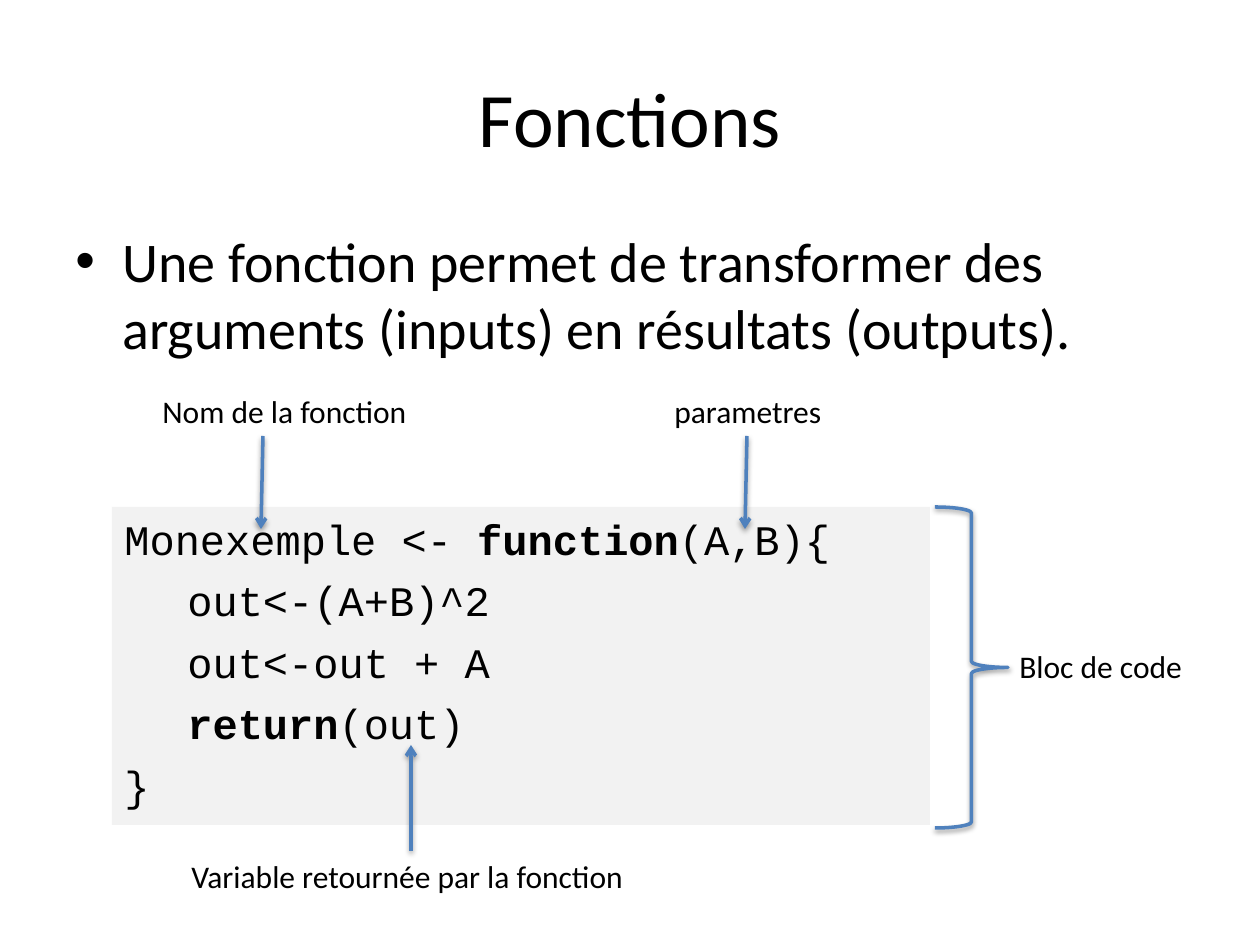
from dataclasses import dataclass

from lxml import etree
from pptx import Presentation
from pptx.dml.color import RGBColor
from pptx.enum.shapes import MSO_CONNECTOR, MSO_SHAPE
from pptx.enum.text import MSO_ANCHOR, PP_ALIGN
from pptx.oxml.ns import qn
from pptx.util import Emu, Pt

PX_PER_INCH = 126
TITLE_ONLY = 5
STRAIGHT = MSO_CONNECTOR.STRAIGHT
RECTANGLE = MSO_SHAPE.RECTANGLE
RIGHT_BRACE = MSO_SHAPE.RIGHT_BRACE
LEFT, CENTER = PP_ALIGN.LEFT, PP_ALIGN.CENTER
TOP, MIDDLE = MSO_ANCHOR.TOP, MSO_ANCHOR.MIDDLE


@dataclass(frozen=True)
class Theme:
    ink: RGBColor = RGBColor(0x00, 0x00, 0x00)
    panel: RGBColor = RGBColor(0xF2, 0xF2, 0xF2)
    accent: RGBColor = RGBColor(0x4F, 0x81, 0xBD)
    body_font: str = "Calibri"
    code_font: str = "Courier New"
    title_size: float = 44
    body_size: float = 32
    code_size: float = 24
    label_size: float = 18
    line_width: float = 2
    paragraph_gap: float = 6.4


THEME = Theme()


@dataclass(frozen=True)
class Box:
    left: int
    top: int
    width: int
    height: int


@dataclass(frozen=True)
class Run:
    text: str
    bold: bool = False


@dataclass(frozen=True)
class Line:
    runs: tuple[Run, ...]
    margin: int = 0
    bullet: str = ""


@dataclass(frozen=True)
class Label:
    text: str
    box: Box


@dataclass(frozen=True)
class Arrow:
    start: tuple[int, int]
    end: tuple[int, int]


CODE_INDENT = 63
CODE = (
    Line((Run("Monexemple <- "), Run("function", True), Run("(A,B){"))),
    Line((Run("out<-(A+B)^2"),), CODE_INDENT),
    Line((Run("out<-out + A"),), CODE_INDENT),
    Line((Run("return", True), Run("(out)")), CODE_INDENT),
    Line((Run("}"),)),
)
DEFINITION = Line(
    (Run("Une fonction permet de transformer des arguments (inputs) "
         "en résultats (outputs)."),),
    margin=47, bullet="•",
)
LABELS = (
    Label("Nom de la fonction", Box(150, 386, 272, 51)),
    Label("Variable retournée par la fonction", Box(179, 851, 465, 51)),
    Label("parametres", Box(662, 386, 175, 51)),
    Label("Bloc de code", Box(1007, 641, 190, 51)),
)
ARROWS = (
    Arrow((747, 436), (745, 529)),
    Arrow((263, 436), (261, 529)),
    Arrow((411, 851), (411, 745)),
)


def px(length: int) -> Emu:
    return Emu(round(length * 914400 / PX_PER_INCH))


def place(box: Box) -> tuple[Emu, ...]:
    return px(box.left), px(box.top), px(box.width), px(box.height)


def write(frame, lines, *, size: float, font: str = THEME.body_font,
          align=LEFT, anchor=TOP, gap: float = 0, wrap: bool = True) -> None:
    frame.word_wrap = wrap
    frame.vertical_anchor = anchor
    for index, line in enumerate(lines):
        paragraph = frame.add_paragraph() if index else frame.paragraphs[0]
        paragraph.alignment = align
        paragraph.space_before = Pt(gap)
        for part in line.runs:
            run = paragraph.add_run()
            run.text = part.text
            run.font.name = font
            run.font.size = Pt(size)
            run.font.bold = part.bold
            run.font.color.rgb = THEME.ink
        properties = paragraph._p.get_or_add_pPr()
        properties.set("marL", str(px(line.margin)))
        properties.set("indent", str(-px(line.margin) if line.bullet else 0))
        if line.bullet:
            etree.SubElement(properties, qn("a:buFont"), typeface="Arial")
            etree.SubElement(properties, qn("a:buChar"), char=line.bullet)


def outline_with_shadow(shape) -> None:
    shape.line.color.rgb = THEME.accent
    shape.line.width = Pt(THEME.line_width)
    effects = etree.SubElement(shape._element.spPr, qn("a:effectLst"))
    shadow = etree.SubElement(
        effects, qn("a:outerShdw"), blurRad=str(Pt(3.1)), dist=str(Pt(1.6)),
        dir="5400000", rotWithShape="0")
    color = etree.SubElement(shadow, qn("a:srgbClr"), val=str(THEME.ink))
    etree.SubElement(color, qn("a:alpha"), val="38000")


def draw_title(slide, text: str, box: Box) -> None:
    title = slide.shapes.title
    title.left, title.top, title.width, title.height = place(box)
    write(title.text_frame, [Line((Run(text),))], size=THEME.title_size,
          align=CENTER, anchor=MIDDLE)


def draw_definition(slide, box: Box) -> None:
    definition = slide.shapes.add_textbox(*place(box))
    write(definition.text_frame, [DEFINITION], size=THEME.body_size,
          gap=THEME.paragraph_gap)


def draw_code(slide, box: Box) -> None:
    panel = slide.shapes.add_shape(RECTANGLE, *place(box))
    panel.shadow.inherit = False
    panel.fill.solid()
    panel.fill.fore_color.rgb = THEME.panel
    panel.line.fill.background()
    write(panel.text_frame, CODE, size=THEME.code_size, font=THEME.code_font,
          gap=THEME.paragraph_gap)


def draw_label(slide, label: Label) -> None:
    caption = slide.shapes.add_textbox(*place(label.box))
    write(caption.text_frame, [Line((Run(label.text),))],
          size=THEME.label_size, wrap=False)


def draw_arrow(slide, arrow: Arrow) -> None:
    connector = slide.shapes.add_connector(
        STRAIGHT, *(px(value) for value in arrow.start + arrow.end))
    outline_with_shadow(connector)
    etree.SubElement(connector.line._get_or_add_ln(), qn("a:tailEnd"),
                     type="arrow")


def draw_brace(slide, box: Box) -> None:
    brace = slide.shapes.add_shape(RIGHT_BRACE, *place(box))
    brace.fill.background()
    outline_with_shadow(brace)


def main() -> None:
    deck = Presentation()
    deck.slide_width, deck.slide_height = px(1260), px(945)
    slide = deck.slides.add_slide(deck.slide_layouts[TITLE_ONLY])
    draw_title(slide, "Fonctions", Box(63, 38, 1134, 157))
    draw_code(slide, Box(112, 507, 818, 318))
    for label in LABELS:
        draw_label(slide, label)
    for arrow in ARROWS:
        draw_arrow(slide, arrow)
    draw_brace(slide, Box(935, 507, 73, 321))
    draw_definition(slide, Box(63, 220, 1134, 187))
    deck.save("out.pptx")


if __name__ == "__main__":
    main()
